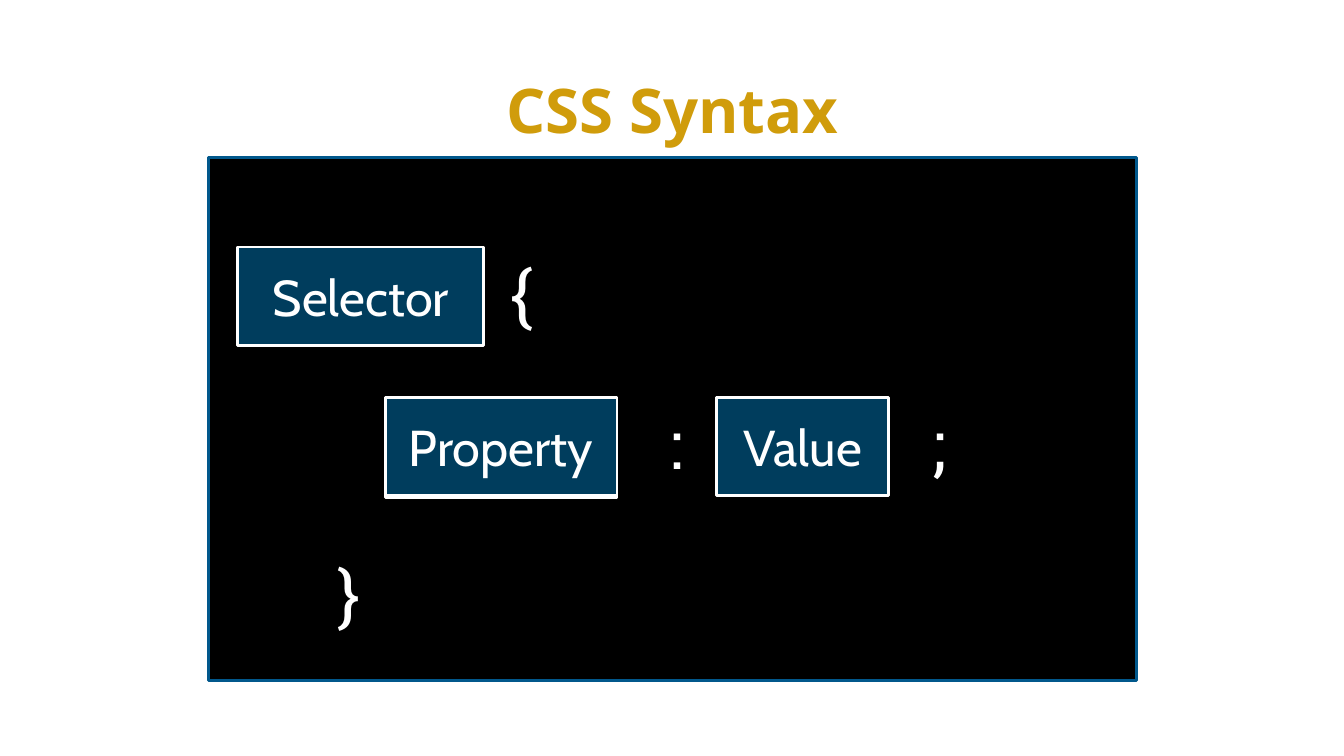
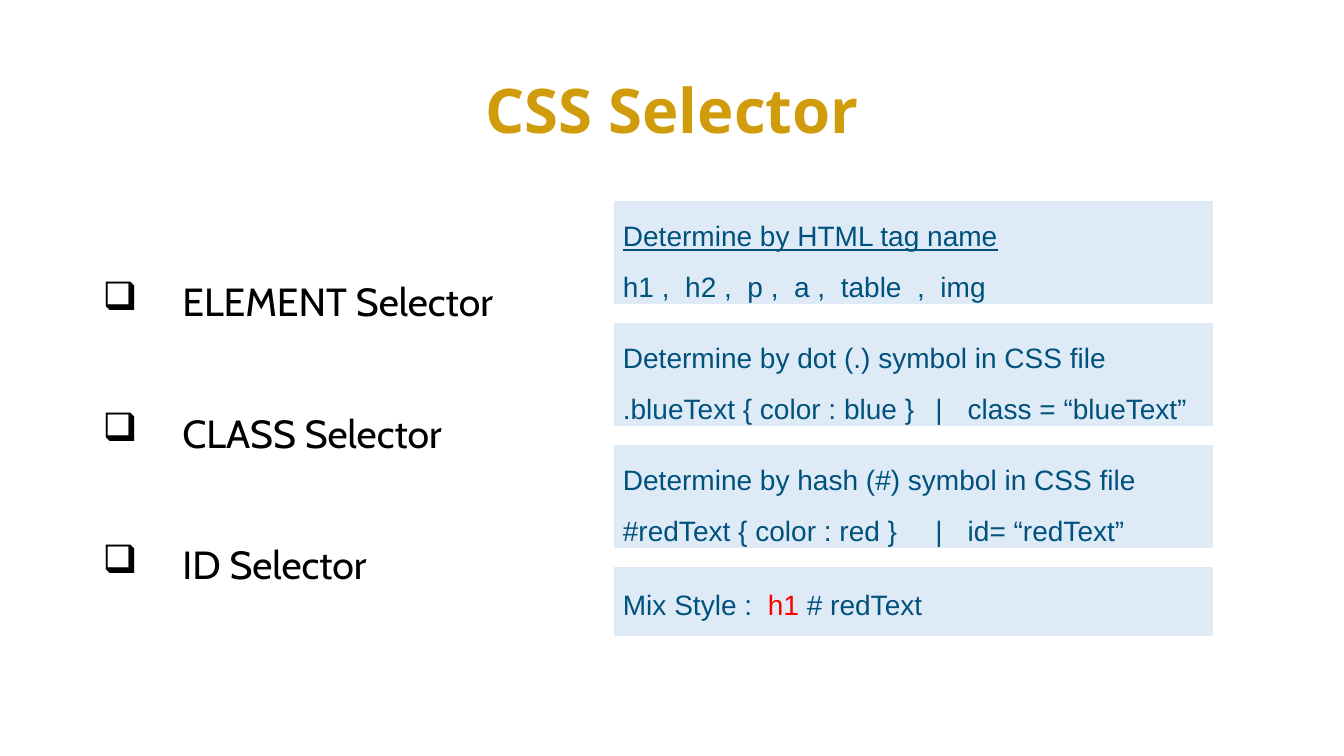
from lxml import etree
from pptx import Presentation
from pptx import util as u
from pptx.dml import color
from pptx.enum import shapes, text
from pptx.oxml import ns

GOLD, NAVY, BLUE, TEAL = "D09C0B", "003D5D", "01588C", "00517C"
PALE, WHITE, BLACK, RED = "DEEBF7", "FFFFFF", "000000", "FF0000"
LEFT, CENTER = text.PP_ALIGN.LEFT, text.PP_ALIGN.CENTER
TOP, MIDDLE = text.MSO_ANCHOR.TOP, text.MSO_ANCHOR.MIDDLE


def rgb(value):
    return color.RGBColor.from_string(value)


def inches(*lengths):
    return [u.Inches(length) for length in lengths]


def write(shape, paragraphs, font="Arial", size=20, fill=TEAL, bold=False,
          align=LEFT, anchor=TOP, spacing=1.0, before=0, bullet=None,
          hanging=0.79, tabs=()):
    """Fill a shape; each paragraph is a list of (text, run overrides)."""
    frame = shape.text_frame
    frame.word_wrap = True
    frame.vertical_anchor = anchor
    for index, runs in enumerate(paragraphs):
        paragraph = frame.add_paragraph() if index else frame.paragraphs[0]
        paragraph.alignment = align
        paragraph.line_spacing = spacing
        paragraph.space_before = u.Pt(before)
        for content, overrides in runs:
            run = paragraph.add_run()
            run.text = content
            run.font.name = font
            run.font.size = u.Pt(size)
            run.font.bold = bold
            run.font.underline = overrides.get("underline", False)
            run.font.color.rgb = rgb(overrides.get("fill", fill))
        if bullet:
            add_bullet(paragraph, bullet, hanging)
        if tabs:
            add_tabs(paragraph, tabs)


def add_bullet(paragraph, character, hanging):
    properties = paragraph._p.get_or_add_pPr()
    properties.set("marL", str(u.Inches(hanging)))
    properties.set("indent", str(-u.Inches(hanging)))
    etree.SubElement(properties, ns.qn("a:buChar"), char=character)


def add_tabs(paragraph, positions):
    tab_list = etree.SubElement(paragraph._p.get_or_add_pPr(), ns.qn("a:tabLst"))
    for position in positions:
        etree.SubElement(tab_list, ns.qn("a:tab"),
                         pos=str(u.Inches(position)), algn="l")


def plain(*lines):
    return [[(line, {})] for line in lines]


def add_box(slide, left, top, width, height, fill, line):
    box = slide.shapes.add_shape(shapes.MSO_SHAPE.RECTANGLE,
                                 *inches(left, top, width, height))
    box.shadow.inherit = False
    box.fill.solid()
    box.fill.fore_color.rgb = rgb(fill)
    box.line.color.rgb = rgb(line)
    box.line.width = u.Pt(2)
    return box


def add_text(slide, left, top, width, height, paragraphs, **style):
    box = slide.shapes.add_textbox(*inches(left, top, width, height))
    write(box, paragraphs, **style)


def add_slide(presentation, title):
    slide = presentation.slides.add_slide(presentation.slide_layouts[6])
    add_text(slide, 0.92, 0.4, 11.5, 1.45, plain(title), font="Open Sans",
             size=44, fill=GOLD, bold=True, align=CENTER, anchor=MIDDLE,
             spacing=0.9)
    return slide


def build_syntax(presentation):
    slide = add_slide(presentation, "CSS Syntax")
    add_box(slide, 2.07, 1.56, 9.2, 5.19, BLACK, BLUE)
    selector_top, property_top, closing_top = 2.45, 3.94, 5.43
    # A box just below "Property" thickens its lower edge.
    add_box(slide, 3.82, property_top + 0.02, 2.3, 0.98, NAVY, WHITE)
    for label, left, top, width in (("Selector", 2.36, selector_top, 2.44),
                                    ("Property", 3.82, property_top, 2.3),
                                    ("Value", 7.11, property_top, 1.7)):
        box = add_box(slide, left, top, width, 0.98, NAVY, WHITE)
        write(box, plain(label), font="Cabin", size=36, fill=WHITE,
              align=CENTER, anchor=MIDDLE)
    for symbol, left, top, width, align in (
            ("{", 4.97, selector_top, 0.56, LEFT),
            ("}", 3.25, closing_top, 0.81, LEFT),
            (":", 6.3, property_top, 0.81, CENTER),
            (";", 9.15, property_top, 0.81, LEFT)):
        add_text(slide, left, top, width, 0.9, plain(symbol),
                 font="Roboto Slab", size=48, fill=WHITE, align=align)


def build_selectors(presentation):
    slide = add_slide(presentation, "CSS Selector")
    add_text(slide, 0.92, 2, 11.5, 4.49,
             plain("ELEMENT Selector", "CLASS Selector", "ID Selector"),
             font="Cabin", size=28, fill=BLACK, spacing=2.5, before=10,
             bullet="❑")
    panels = (
        (1.05, MIDDLE, [[("Determine by HTML tag name", {"underline": True})],
                        [("h1 ,  h2 ,  p ,  a ,  table  ,  img", {})]]),
        (1.05, MIDDLE, plain("Determine by dot (.) symbol in CSS file",
                             ".blueText { color : blue }\t|\tclass = “blueText”")),
        (1.05, MIDDLE, plain("Determine by hash (#) symbol in CSS file",
                             "#redText { color : red }\t|\tid= “redText”")),
        (0.71, TOP, [[("Mix Style :  ", {}), ("h1", {"fill": RED}),
                      (" # redText", {})]]),
    )
    first_top, pitch = 1.98, 1.21
    for index, (height, anchor, paragraphs) in enumerate(panels):
        panel = add_box(slide, 6.08, first_top + index * pitch, 5.97, height,
                        PALE, WHITE)
        write(panel, paragraphs, anchor=anchor, spacing=1.5, tabs=(3.1, 3.42))


def main():
    presentation = Presentation()
    presentation.slide_width, presentation.slide_height = inches(13.33, 7.5)
    build_syntax(presentation)
    build_selectors(presentation)
    presentation.save("out.pptx")


if __name__ == "__main__":
    main()
